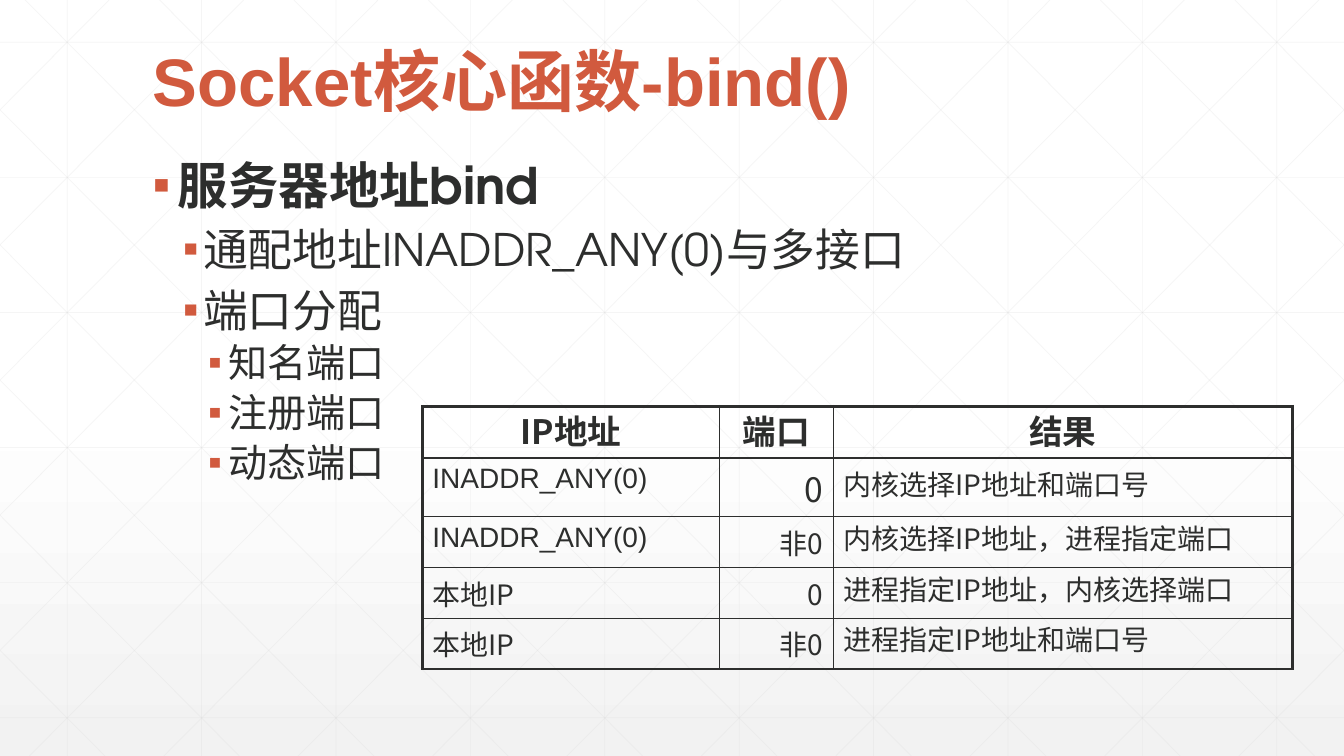
from lxml import etree
from pptx import Presentation
from pptx.dml.color import RGBColor
from pptx.enum import shapes, text
from pptx.oxml.ns import qn
from pptx.util import Pt

# Content
TITLE = "Socket核心函数-bind()"
OUTLINE = [
    (0, "服务器地址bind"),
    (1, "通配地址INADDR_ANY(0)与多接口"),
    (1, "端口分配"),
    (2, "知名端口"),
    (2, "注册端口"),
    (2, "动态端口"),
]
BINDINGS = [
    ("IP地址", "端口", "结果"),
    ("INADDR_ANY(0)", "0", "内核选择IP地址和端口号"),
    ("INADDR_ANY(0)", "非0", "内核选择IP地址，进程指定端口"),
    ("本地IP", "0", "进程指定IP地址，内核选择端口"),
    ("本地IP", "非0", "进程指定IP地址和端口号"),
]

# Theme
THEME = {
    "accent": "D15A3E", "ink": "2D2E2D", "grid": "D9D9D9",
    "paper": "FFFFFF", "shade": "F2F2F2",
    "heading": "Arial", "body": "TeX Gyre Adventor", "cjk": "Noto Sans CJK SC",
    "title_size": 48, "header_size": 24, "cell_size": 20, "zero_size": 24,
}
# Per outline level: type size, left margin, hanging indent, space before
LEVELS = [(36, 18, 18, 18), (32, 36, 14.4, 12), (28, 54, 14.4, 8)]

# Layout, in points
WIDTH, HEIGHT = 960, 540
GRID_STEP, ROW_STEP = 96, 96.48
DIAGONAL_RUN = 537
TEXT_LEFT, TEXT_WIDTH = 102, 756
COLUMNS = [212.4, 81, 328]
ROWS = [37, 42, 36.2, 36.2, 36.2]
THICK, THIN = 2.25, 1


def color(name):
    return RGBColor.from_string(THEME[name])


def add_span(para, words, size, face, ink="ink", bold=False):
    span = para.add_run()
    span.text = words
    font = span.font
    font.size, font.bold, font.name = Pt(size), bold, face
    font.color.rgb = color(ink)
    east_asian = etree.SubElement(font._element, qn("a:ea"))
    east_asian.set("typeface", THEME["cjk"])


def add_text_box(page, top, height, anchor):
    box = page.shapes.add_textbox(Pt(TEXT_LEFT), Pt(top), Pt(TEXT_WIDTH), Pt(height))
    box.text_frame.word_wrap = True
    box.text_frame.vertical_anchor = anchor
    return box.text_frame


def add_bullet(para, left, hanging):
    props = para._p.get_or_add_pPr()
    props.set("marL", str(Pt(left)))
    props.set("indent", str(-Pt(hanging)))
    tint = etree.SubElement(props, qn("a:buClr"))
    etree.SubElement(tint, qn("a:srgbClr")).set("val", THEME["accent"])
    etree.SubElement(props, qn("a:buFont")).set("typeface", THEME["heading"])
    etree.SubElement(props, qn("a:buChar")).set("char", "▪")


def add_grid_line(page, x1, y1, x2, y2):
    line = page.shapes.add_connector(
        shapes.MSO_CONNECTOR.STRAIGHT, Pt(x1), Pt(y1), Pt(x2), Pt(y2))
    line.line.width = Pt(0.5)
    line.line.color.rgb = color("grid")
    props = line._element.spPr
    tint = props.find(".//" + qn("a:srgbClr"))
    etree.SubElement(tint, qn("a:alpha")).set("val", "25000")
    etree.SubElement(props, qn("a:effectLst"))


def add_border(cell, side, width):
    edge = etree.Element(qn("a:ln" + side), w=str(Pt(width)))
    fill = etree.SubElement(edge, qn("a:solidFill"))
    etree.SubElement(fill, qn("a:srgbClr")).set("val", THEME["ink"])
    return edge


def draw_background(page):
    fill = page.background.fill
    fill.gradient()
    fill.gradient_angle = 270
    for stop, name, position in zip(fill.gradient_stops, ("paper", "shade"), (0.53, 1)):
        stop.color.rgb = color(name)
        stop.position = position

    for i in range(10):
        x = 48 + GRID_STEP * i
        add_grid_line(page, x, 0, x, HEIGHT)
    for i in range(6):
        y = 30.24 + ROW_STEP * i
        add_grid_line(page, 0, y, WIDTH, y)
    # Diagonals, clipped to the page, and their mirror images
    slope = HEIGHT / DIAGONAL_RUN
    for i in range(-5, 10):
        start = 18 + GRID_STEP * i
        x1, x2 = max(start, 0), min(start + DIAGONAL_RUN, WIDTH)
        y1, y2 = (x1 - start) * slope, (x2 - start) * slope
        add_grid_line(page, x1, y1, x2, y2)
        add_grid_line(page, WIDTH - x1, y1, WIDTH - x2, y2)


def draw_title(page):
    frame = add_text_box(page, 0, 90, text.MSO_ANCHOR.BOTTOM)
    para = frame.paragraphs[0]
    para.line_spacing = 0.9
    add_span(para, TITLE, THEME["title_size"], THEME["heading"], "accent", True)


def draw_outline(page):
    frame = add_text_box(page, 109.5, 383, text.MSO_ANCHOR.TOP)
    frame.margin_top = Pt(8)
    for i, (level, words) in enumerate(OUTLINE):
        size, left, hanging, before = LEVELS[level]
        para = frame.add_paragraph() if i else frame.paragraphs[0]
        para.level = level
        para.alignment = text.PP_ALIGN.JUSTIFY
        para.line_spacing = 0.82
        if i:
            para.space_before = Pt(before)
        add_bullet(para, left, hanging)
        add_span(para, words, size, THEME["body"], bold=level == 0)


def fill_cell(cell, row, column, words):
    header = row == 0
    para = cell.text_frame.paragraphs[0]
    if header:
        para.alignment = text.PP_ALIGN.CENTER
    elif column == 1:
        para.alignment = text.PP_ALIGN.RIGHT
    if header or (column == 2 and row > 1):
        para.line_spacing = 0.85
    size = THEME["header_size"] if header else THEME["cell_size"]
    if (row, column) == (1, 1):
        size = THEME["zero_size"]
    face = THEME["heading"] if words.startswith("INADDR") else THEME["cjk"]
    add_span(para, words, size, face, bold=header)

    # Thick outer frame, thin inner rules
    cell.fill.background()
    outer = {"L": column == 0, "R": column == len(COLUMNS) - 1,
             "T": header, "B": row == len(ROWS) - 1}
    props = cell._tc.get_or_add_tcPr()
    for i, (side, is_outer) in enumerate(outer.items()):
        props.insert(i, add_border(cell, side, THICK if is_outer else THIN))


def draw_table(page):
    table = page.shapes.add_table(
        len(ROWS), len(COLUMNS), Pt(301.7), Pt(290.2),
        Pt(sum(COLUMNS)), Pt(sum(ROWS))).table
    table.first_row = table.horz_banding = False
    for column, width in enumerate(COLUMNS):
        table.columns[column].width = Pt(width)
    for row, height in enumerate(ROWS):
        table.rows[row].height = Pt(height)
        for column, words in enumerate(BINDINGS[row]):
            fill_cell(table.cell(row, column), row, column, words)


def main():
    deck = Presentation()
    deck.slide_width, deck.slide_height = Pt(WIDTH), Pt(HEIGHT)
    page = deck.slides.add_slide(deck.slide_layouts[6])
    draw_background(page)
    draw_title(page)
    draw_outline(page)
    draw_table(page)
    deck.save("out.pptx")


if __name__ == "__main__":
    main()
